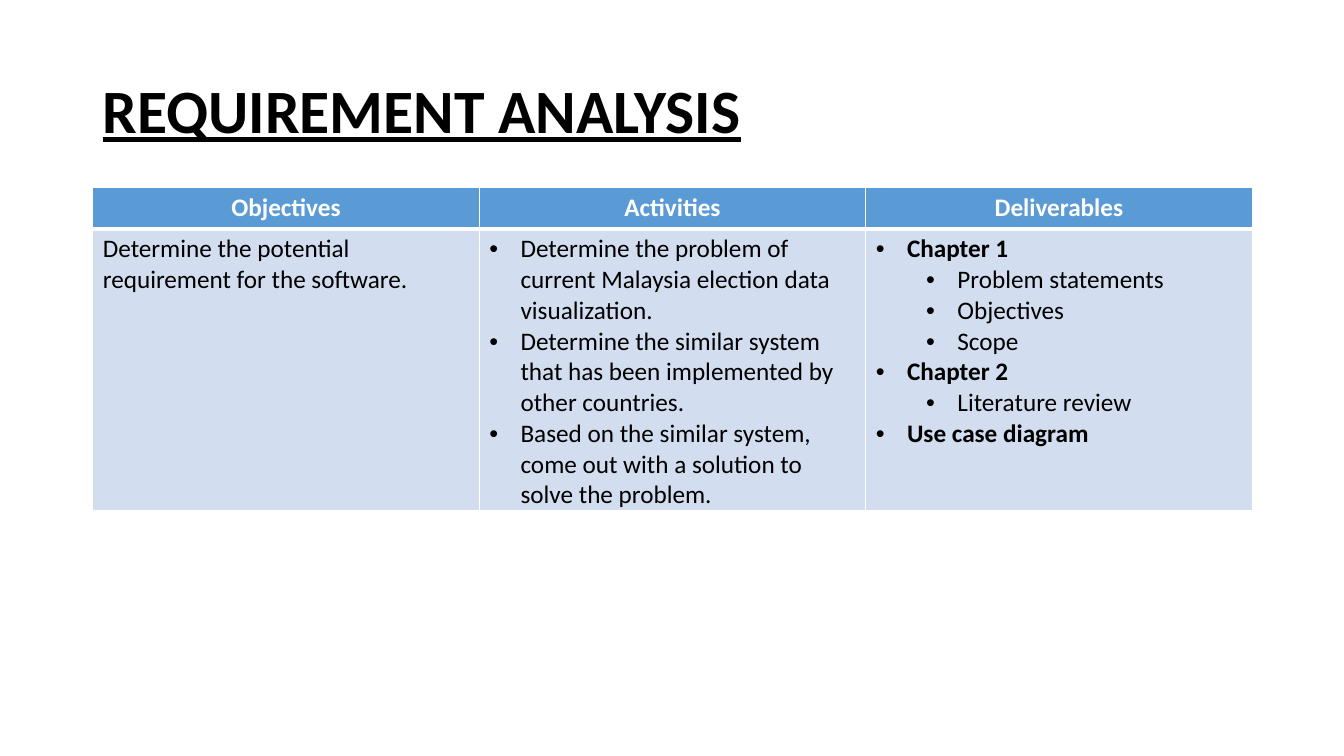
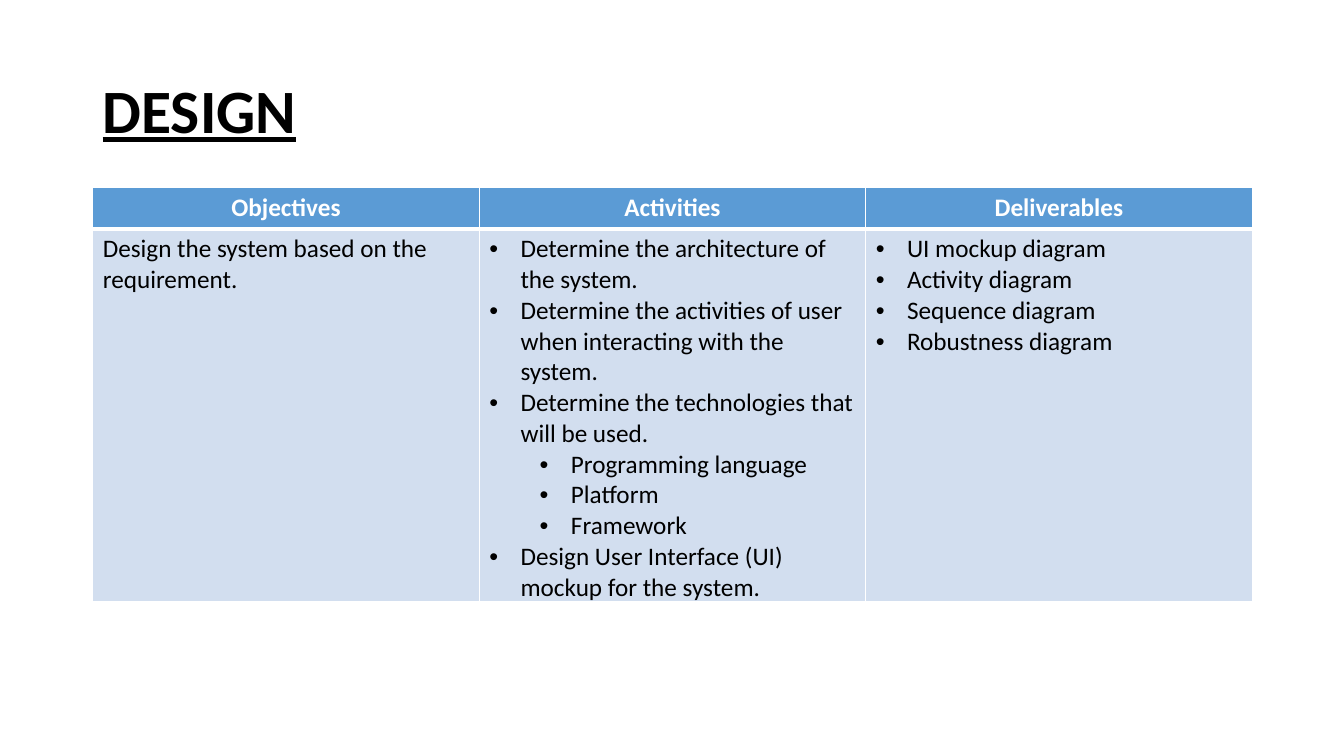
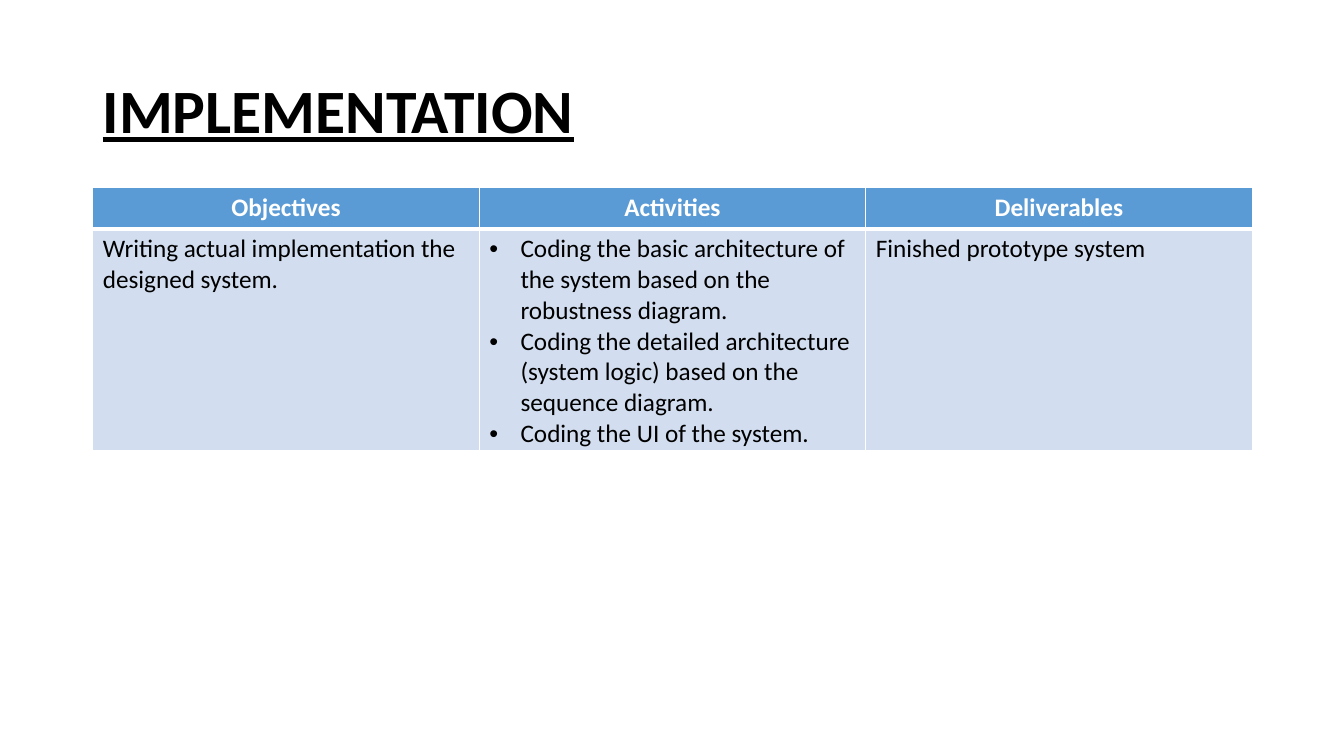
from typing import NamedTuple, Optional

from lxml.etree import SubElement
from pptx import Presentation
from pptx.dml.color import RGBColor
from pptx.enum.text import MSO_ANCHOR as Anchor, PP_ALIGN as Align
from pptx.oxml.ns import qn
from pptx.util import Inches, Pt

BLACK = RGBColor(0x00, 0x00, 0x00)
WHITE = RGBColor(0xFF, 0xFF, 0xFF)
HEADER_BLUE = RGBColor(0x5B, 0x9B, 0xD5)
BODY_BLUE = RGBColor(0xD2, 0xDE, 0xEF)

HEADINGS = ("Objectives", "Activities", "Deliverables")


class Line(NamedTuple):
    text: str
    level: Optional[int] = None
    bold: bool = False


def bullets(*texts, level=0, bold=False):
    return [Line(text, level, bold) for text in texts]


class Deck:
    font = "Calibri"
    left = Inches(0.92)
    width = Inches(11.5)
    header_height = Inches(0.41)
    hang = Inches(0.31)
    level_step = Inches(0.5)

    def __init__(self):
        self.presentation = Presentation()
        self.presentation.slide_width = Inches(13.33)
        self.presentation.slide_height = Inches(7.5)
        self.slide = None

    def add_slide(self):
        blank = self.presentation.slide_layouts[6]
        self.slide = self.presentation.slides.add_slide(blank)

    def add_text(self, paragraph, text, size, color, bold=False, underline=False):
        run = paragraph.add_run()
        run.text = text
        run.font.name = self.font
        run.font.size = Pt(size)
        run.font.color.rgb = color
        run.font.bold = bold
        run.font.underline = underline

    def title(self, text):
        box = self.slide.shapes.add_textbox(self.left, Inches(0.4), self.width, Inches(1.45))
        frame = box.text_frame
        frame.word_wrap = True
        frame.vertical_anchor = Anchor.MIDDLE
        heading = frame.paragraphs[0]
        heading.line_spacing = 0.9
        self.add_text(heading, text, 44, BLACK, bold=True, underline=True)

    def bullet(self, paragraph, level):
        paragraph.level = level
        properties = paragraph._p.get_or_add_pPr()
        properties.set("marL", str(self.hang + level * self.level_step))
        properties.set("indent", str(-self.hang))
        SubElement(properties, qn("a:buFont"), typeface="Arial")
        SubElement(properties, qn("a:buChar"), char="•")

    def style_cell(self, cell, fill, top, bottom):
        properties = cell._tc.get_or_add_tcPr()
        for side, points in (("L", 1), ("R", 1), ("T", top), ("B", bottom)):
            border = SubElement(properties, qn(f"a:ln{side}"), w=str(Pt(points)))
            color = SubElement(border, qn("a:solidFill"))
            SubElement(color, qn("a:srgbClr"), val=str(WHITE))
        cell.fill.solid()
        cell.fill.fore_color.rgb = fill

    def table(self, columns, height):
        grid = self.slide.shapes.add_table(
            2, len(HEADINGS), self.left, Inches(1.86), self.width, height
        ).table
        grid.rows[0].height = self.header_height
        grid.rows[1].height = height - self.header_height
        for index, (heading, lines) in enumerate(zip(HEADINGS, columns)):
            header, body = grid.cell(0, index), grid.cell(1, index)
            self.style_cell(header, HEADER_BLUE, top=1, bottom=3)
            self.style_cell(body, BODY_BLUE, top=3, bottom=1)
            label = header.text_frame.paragraphs[0]
            label.alignment = Align.CENTER
            self.add_text(label, heading, 18, WHITE, bold=True)
            self.fill_body(body.text_frame, lines)

    def fill_body(self, frame, lines):
        for position, line in enumerate(lines):
            paragraph = frame.add_paragraph() if position else frame.paragraphs[0]
            if line.level is not None:
                self.bullet(paragraph, line.level)
            self.add_text(paragraph, line.text, 18, BLACK, bold=line.bold)

    def phase(self, name, objectives, activities, deliverables, height):
        self.add_slide()
        self.title(name)
        self.table((objectives, activities, deliverables), height)


deck = Deck()

deck.phase(
    "REQUIREMENT ANALYSIS",
    objectives=[Line("Determine the potential requirement for the software.")],
    activities=bullets(
        "Determine the problem of current Malaysia election data visualization.",
        "Determine the similar system that has been implemented by other countries.",
        "Based on the similar system, come out with a solution to solve the problem.",
    ),
    deliverables=[
        *bullets("Chapter 1", bold=True),
        *bullets("Problem statements", "Objectives", "Scope", level=1),
        *bullets("Chapter 2", bold=True),
        *bullets("Literature review", level=1),
        *bullets("Use case diagram", bold=True),
    ],
    height=Inches(3.21),
)

deck.phase(
    "DESIGN",
    objectives=[Line("Design the system based on the requirement.")],
    activities=[
        *bullets(
            "Determine the architecture of the system.",
            "Determine the activities of user when interacting with the system.",
            "Determine the technologies that will be used.",
        ),
        *bullets("Programming language", "Platform", "Framework", level=1),
        *bullets("Design User Interface (UI) mockup for the system."),
    ],
    deliverables=bullets(
        "UI mockup diagram", "Activity diagram", "Sequence diagram", "Robustness diagram"
    ),
    height=Inches(4.11),
)

deck.phase(
    "IMPLEMENTATION",
    objectives=[Line("Writing actual implementation the designed system.")],
    activities=bullets(
        "Coding the basic architecture of the system based on the robustness diagram.",
        "Coding the detailed architecture (system logic) based on the sequence diagram.",
        "Coding the UI of the system.",
    ),
    deliverables=[Line("Finished prototype system")],
    height=Inches(2.61),
)

deck.presentation.save("out.pptx")
